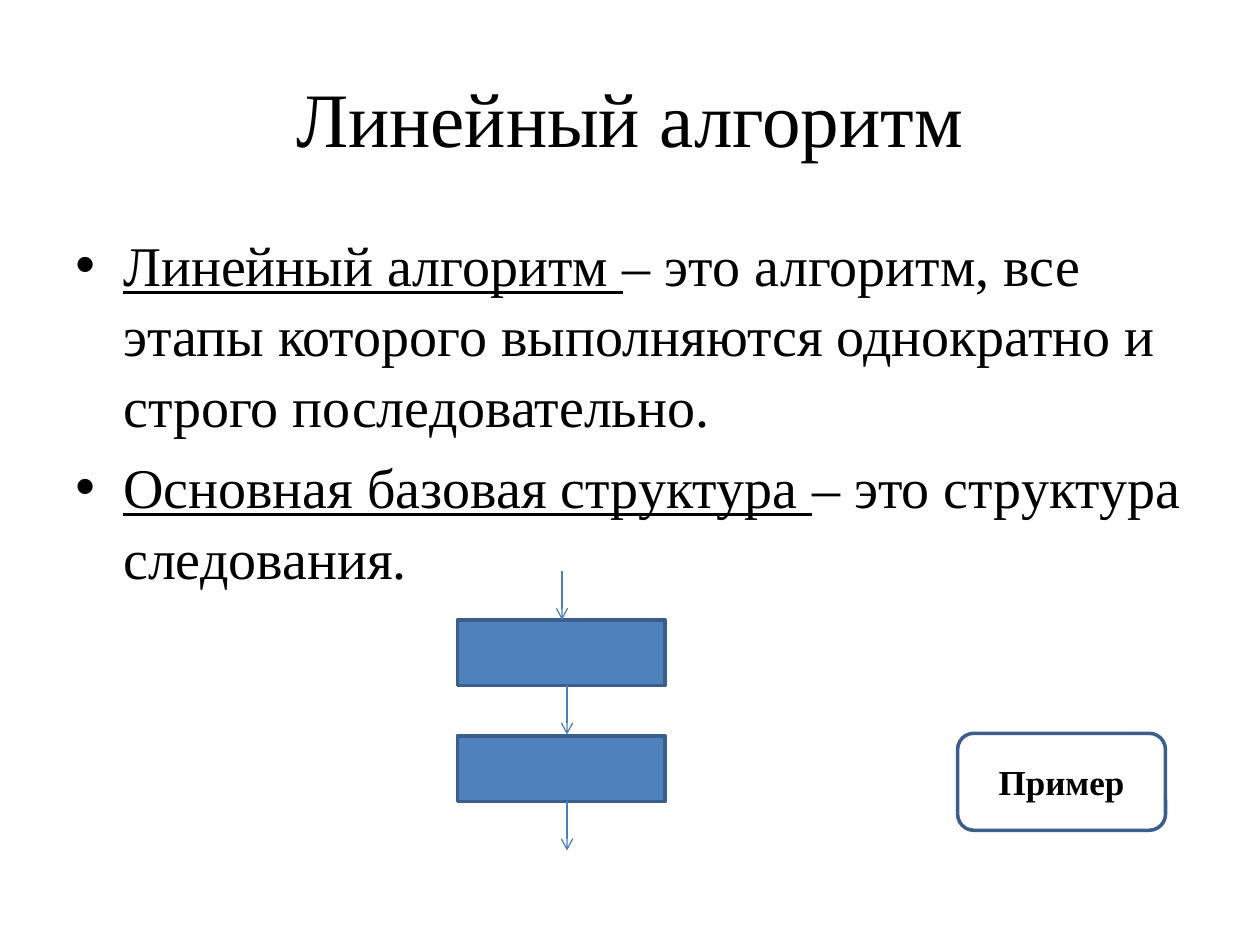
from lxml import etree
from pptx import Presentation
from pptx.dml.color import RGBColor
from pptx.enum import shapes, text
from pptx.oxml import ns
from pptx.util import Inches, Pt

FONT, BLACK = "Times New Roman", "000000"
FILL, OUTLINE, ARROW = "4F81BD", "3A5F8C", "4B7EBC"


def rgb(value):
    return RGBColor.from_string(value)


def add_span(para, words, size, bold=False, underline=False):
    span = para.add_run()
    span.text = words
    span.font.name, span.font.size = FONT, Pt(size)
    span.font.bold, span.font.underline = bold, underline
    span.font.color.rgb = rgb(BLACK)


deck = Presentation()
deck.slide_width, deck.slide_height = Inches(10), Inches(7.5)
page = deck.slides.add_slide(deck.slide_layouts[6])

# Title
title = page.shapes.add_textbox(Inches(0.5), Inches(0.3), Inches(9), Inches(1.25)).text_frame
title.word_wrap = True
title.vertical_anchor = text.MSO_ANCHOR.MIDDLE
title.paragraphs[0].alignment = text.PP_ALIGN.CENTER
add_span(title.paragraphs[0], "Линейный алгоритм", 44)

# Definitions
definitions = [
    ("Линейный алгоритм ",
     "– это алгоритм, все этапы которого выполняются однократно и строго последовательно."),
    ("Основная базовая структура ", "– это структура следования."),
]
body = page.shapes.add_textbox(Inches(0.5), Inches(1.75), Inches(9), Inches(3.02)).text_frame
body.word_wrap = True
for index, (term, meaning) in enumerate(definitions):
    para = body.add_paragraph() if index else body.paragraphs[0]
    para.space_before = Pt(6.4)
    para.line_spacing = 1.05
    add_span(para, term, 32, underline=True)
    add_span(para, meaning, 32)
    props = para._p.get_or_add_pPr()
    props.set("marL", str(Inches(0.38)))
    props.set("indent", str(-Inches(0.38)))
    etree.SubElement(props, ns.qn("a:buFont")).set("typeface", "Arial")
    etree.SubElement(props, ns.qn("a:buChar")).set("char", "•")

# Steps of the sequence and the example button
RECT, ROUND = shapes.MSO_SHAPE.RECTANGLE, shapes.MSO_SHAPE.ROUNDED_RECTANGLE
for kind, left, top, height, fill, label in [
    (RECT, 3.63, 4.92, 0.52, FILL, ""),
    (RECT, 3.63, 5.84, 0.52, FILL, ""),
    (ROUND, 7.6, 5.82, 0.77, None, "Пример"),
]:
    box = page.shapes.add_shape(kind, Inches(left), Inches(top), Inches(1.65), Inches(height))
    box.shadow.inherit = False
    box.line.color.rgb, box.line.width = rgb(OUTLINE), Pt(2)
    if fill:
        box.fill.solid()
        box.fill.fore_color.rgb = rgb(fill)
    else:
        box.fill.background()
    if label:
        box.text_frame.vertical_anchor = text.MSO_ANCHOR.MIDDLE
        para = box.text_frame.paragraphs[0]
        para.alignment = text.PP_ALIGN.CENTER
        add_span(para, label, 20, bold=True)

# Flow arrows
for x, top in [(4.46, 4.53), (4.5, 5.44), (4.5, 6.36)]:
    arrow = page.shapes.add_connector(
        shapes.MSO_CONNECTOR.STRAIGHT, Inches(x), Inches(top), Inches(x), Inches(top + 0.39))
    arrow.line.color.rgb, arrow.line.width = rgb(ARROW), Pt(0.75)
    etree.SubElement(arrow.line._get_or_add_ln(), ns.qn("a:tailEnd")).set("type", "arrow")
    etree.SubElement(arrow._element.spPr, ns.qn("a:effectLst"))

deck.save("out.pptx")
